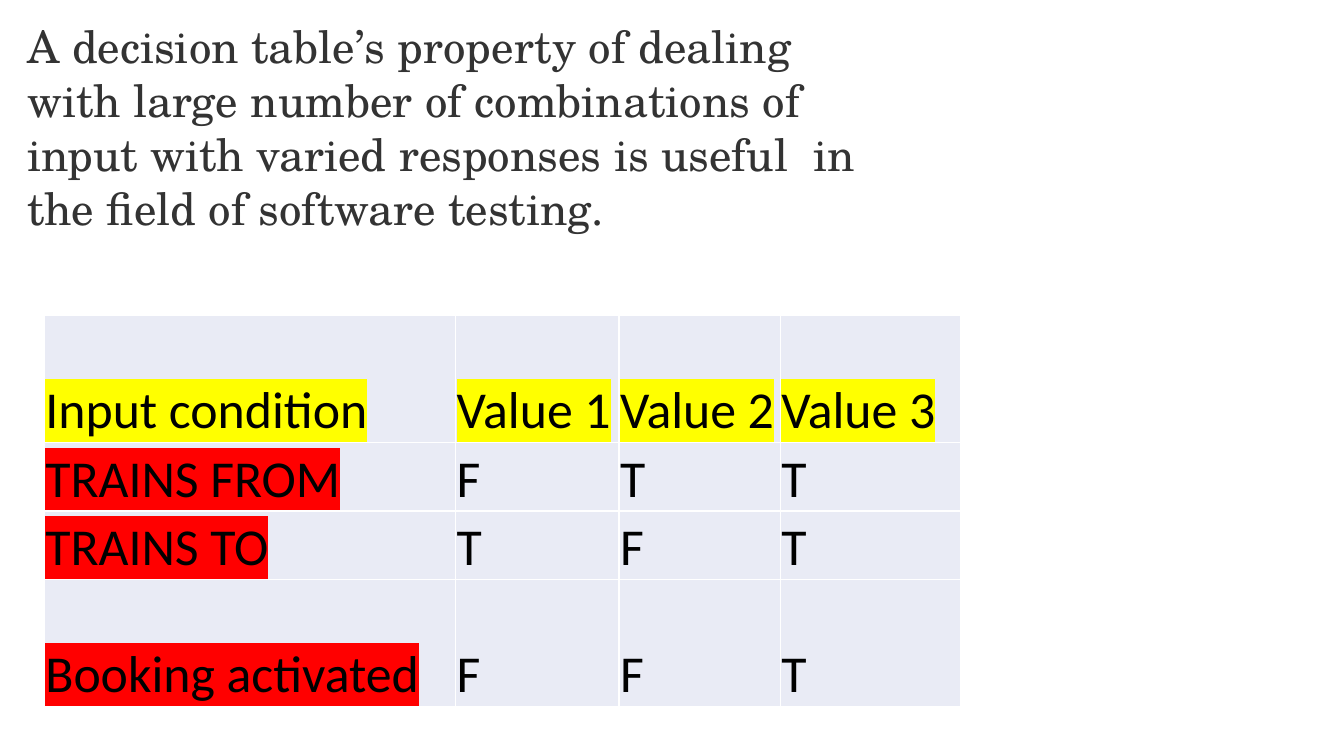
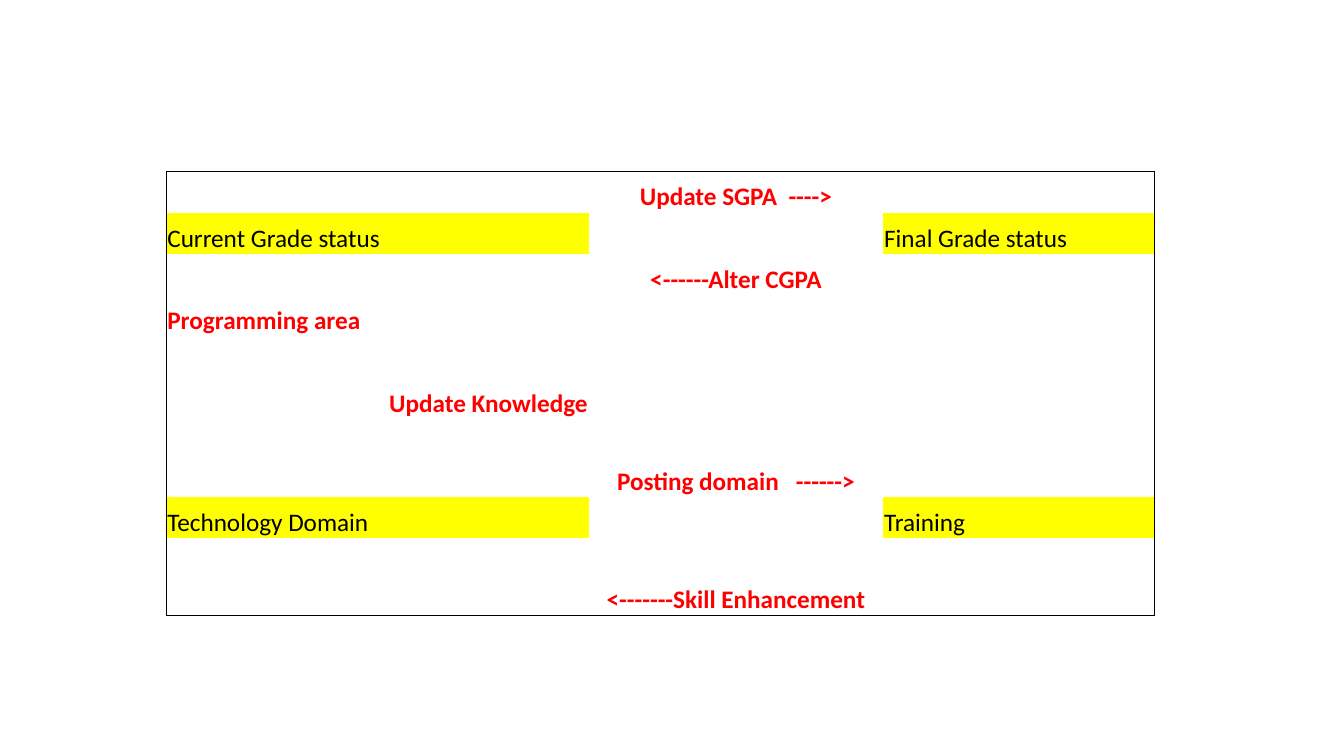
from lxml import etree
from pptx import Presentation
from pptx import util as u
from pptx.dml.color import RGBColor
from pptx.enum import text as t
from pptx.oxml import ns

BLACK, RED, YELLOW, WHITE = "000000", "FF0000", "FFFF00", "FFFFFF"
DARK_GREY, PALE_BLUE = "333333", "E9EBF5"
TABLE_FONT, TITLE_FONT = "Calibri", "TeX Gyre Schola"
PLAIN_STYLE = "{2D5ABB26-0587-4C30-8999-92F81FD0307C}"
LEFT, CENTER, RIGHT = t.PP_ALIGN.LEFT, t.PP_ALIGN.CENTER, t.PP_ALIGN.RIGHT

STATEMENT = ("A decision table’s property of dealing with large number of "
             "combinations of input with varied responses is useful  in "
             "the field of software testing.")
DECISIONS = [
    ("Input condition", "Value 1", "Value 2", "Value 3"),
    ("TRAINS FROM", "F", "T", "T"),
    ("TRAINS TO", "T", "F", "T"),
    ("Booking activated", "F", "F", "T"),
]
DECISION_COLUMNS = [4.08, 1.62, 1.6, 1.79]
DECISION_ROWS = [1.26, 0.68, 0.68, 1.26]

# Each flow row holds its state on the left, its transition and its state on the right.
FLOWS = [
    ("", "Update SGPA  ---->", ""),
    ("Current Grade status", "", "Final Grade status"),
    ("", "<------Alter CGPA", ""),
    ("Programming area", "", ""),
    ("", "", ""),
    ("Update Knowledge", "", ""),
    ("", "Posting domain   ------>", ""),
    ("Technology Domain", "", "Training"),
    ("", "<-------Skill Enhancement", ""),
]
SIDE_ACTIONS = {"Programming area": LEFT, "Update Knowledge": RIGHT}
FLOW_COLUMNS = [4.19] + [0.73] * 4 + [2.69]
FLOW_ROWS = [0.41] * 6 + [0.77, 0.41, 0.77]


def color(value):
    return RGBColor.from_string(value)


def add_run(paragraph, text, font, size, ink, bold=False, highlight=None):
    run = paragraph.add_run()
    run.text = text
    run.font.name, run.font.size, run.font.bold = font, u.Pt(size), bold
    run.font.color.rgb = color(ink)
    if highlight:
        mark = etree.Element(ns.qn("a:highlight"))
        etree.SubElement(mark, ns.qn("a:srgbClr"), val=highlight)
        run.font._element.find(ns.qn("a:solidFill")).addnext(mark)


def add_table(slide, left, top, columns, rows):
    """Add an unstyled table with the given column widths and row heights."""
    frame = slide.shapes.add_table(len(rows), len(columns), u.Inches(left), u.Inches(top),
                                   u.Inches(sum(columns)), u.Inches(sum(rows)))
    table = frame.table
    table.first_row = table.horz_banding = False
    table._tbl.tblPr.find(ns.qn("a:tableStyleId")).text = PLAIN_STYLE
    for column, width in zip(table.columns, columns):
        column.width = u.Inches(width)
    for row, height in zip(table.rows, rows):
        row.height = u.Inches(height)
    return table


def format_cell(cell, sides, line, fill=None):
    """Set insets, bottom anchor, borders on the sides named in LRTB order, and fill."""
    cell.margin_left = cell.margin_right = cell.margin_top = u.Inches(0.01)
    cell.margin_bottom = 0
    cell.vertical_anchor = t.MSO_ANCHOR.BOTTOM
    properties = cell._tc.get_or_add_tcPr()
    for side in sides:
        border = etree.SubElement(properties, ns.qn("a:ln" + side), w=str(u.Pt(1)))
        paint = etree.SubElement(border, ns.qn("a:solidFill"))
        etree.SubElement(paint, ns.qn("a:srgbClr"), val=line)
    if fill:
        cell.fill.solid()
        cell.fill.fore_color.rgb = color(fill)
    else:
        cell.fill.background()


def build_decision_slide(presentation):
    slide = presentation.slides.add_slide(presentation.slide_layouts[5])
    title = slide.shapes.title
    title.left, title.top = u.Inches(0.17), u.Inches(0.14)
    title.width, title.height = u.Inches(8.51), u.Inches(2.26)
    frame = title.text_frame
    frame.word_wrap, frame.auto_size = True, t.MSO_AUTO_SIZE.NONE
    frame.vertical_anchor = t.MSO_ANCHOR.TOP
    frame.paragraphs[0].alignment = LEFT
    add_run(frame.paragraphs[0], STATEMENT, TITLE_FONT, 32, DARK_GREY)

    table = add_table(slide, 0.44, 3.13, DECISION_COLUMNS, DECISION_ROWS)
    for r, values in enumerate(DECISIONS):
        for c, value in enumerate(values):
            cell = table.cell(r, c)
            format_cell(cell, "LRTB", WHITE, PALE_BLUE)
            highlight = YELLOW if r == 0 else RED if c == 0 else None
            add_run(cell.text_frame.paragraphs[0], value, TABLE_FONT, 37, BLACK,
                    highlight=highlight)


def build_flow_slide(presentation):
    slide = presentation.slides.add_slide(presentation.slide_layouts[6])
    table = add_table(slide, 1.65, 1.7, FLOW_COLUMNS, FLOW_ROWS)
    last_row, last_column = len(FLOW_ROWS) - 1, len(FLOW_COLUMNS) - 1
    for r, (left_state, transition, right_state) in enumerate(FLOWS):
        texts = {0: left_state, 1: transition, last_column: right_state}
        for c in range(last_column + 1):
            cell, text = table.cell(r, c), texts.get(c, "")
            is_action = c == 1 or text in SIDE_ACTIONS
            edges = {"L": c == 0, "R": c == last_column, "T": r == 0, "B": r == last_row}
            sides = [side for side, outer in edges.items() if outer]
            format_cell(cell, sides, BLACK, YELLOW if text and not is_action else None)
            if text:
                paragraph = cell.text_frame.paragraphs[0]
                paragraph.alignment = CENTER if c == 1 else SIDE_ACTIONS.get(text, LEFT)
                add_run(paragraph, text, TABLE_FONT, 18, RED if is_action else BLACK,
                        bold=is_action)
        if transition:
            table.cell(r, 1).merge(table.cell(r, last_column - 1))


def main():
    presentation = Presentation()
    presentation.slide_width, presentation.slide_height = u.Inches(13.33), u.Inches(7.5)
    build_decision_slide(presentation)
    build_flow_slide(presentation)
    presentation.save("out.pptx")


if __name__ == "__main__":
    main()
